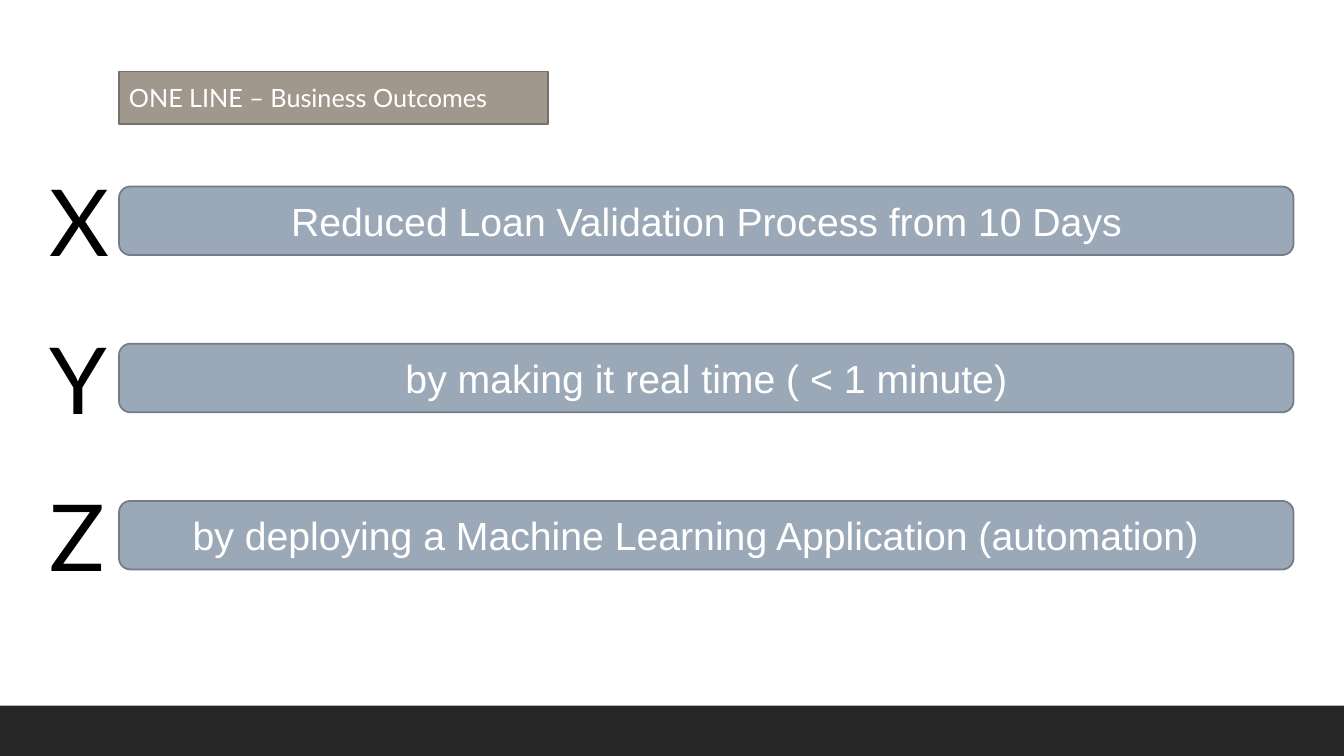
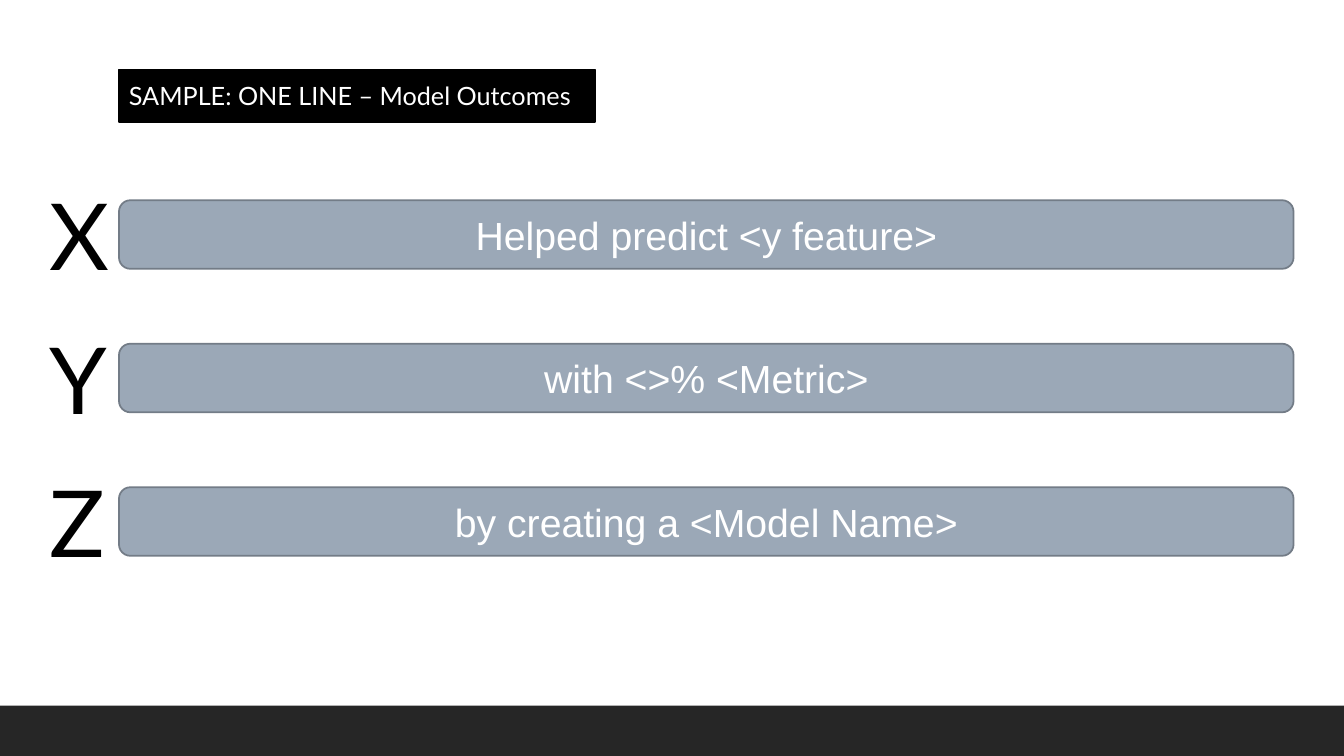
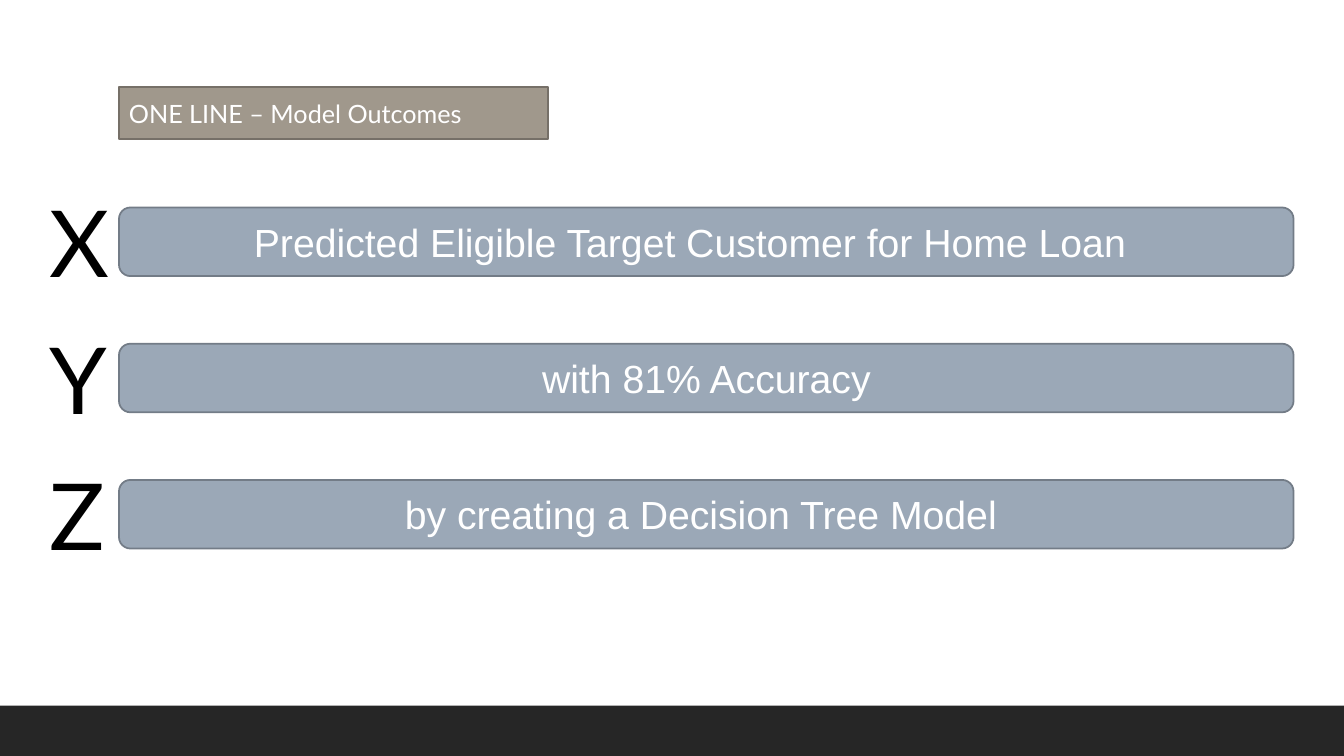
from dataclasses import dataclass

from pptx import Presentation
from pptx.dml.color import RGBColor
from pptx.enum.shapes import MSO_SHAPE
from pptx.enum.text import MSO_ANCHOR, MSO_AUTO_SIZE, PP_ALIGN
from pptx.shapes.autoshape import Shape
from pptx.slide import Slide
from pptx.util import Pt

RECTANGLE, ROUNDED = MSO_SHAPE.RECTANGLE, MSO_SHAPE.ROUNDED_RECTANGLE
LEFT, CENTER = PP_ALIGN.LEFT, PP_ALIGN.CENTER
TOP, MIDDLE = MSO_ANCHOR.TOP, MSO_ANCHOR.MIDDLE
FIT_SHAPE = MSO_AUTO_SIZE.SHAPE_TO_FIT_TEXT

# Shared style
WHITE, BLACK = "FFFFFF", "000000"
BAND_FILL = "262626"
TAUPE, TAUPE_LINE = "A0988C", "767068"
BAR_FILL, BAR_LINE = "9BA8B7", "737C87"
TITLE_FONT, BODY_FONT = "Lato", "Arial"
LINE_WIDTH = 1.25

# Shared layout, in points
SLIDE_WIDTH, SLIDE_HEIGHT, BAND_HEIGHT = 960, 540, 36
CONTENT_LEFT = 85
TITLE_HEIGHT = 37.5
BAR_WIDTH, BAR_HEIGHT, MIDDLE_BAR_TOP = 839, 49, 245.5
LETTER_LEFT, LETTER_WIDTH, LETTER_HEIGHT = 28, 49, 87
LETTER_RISE = 19.3
SIDE_INSET = 7.2


@dataclass(frozen=True)
class Statement:
    text: str
    right_gap: float = 0


@dataclass(frozen=True)
class OutcomeSlide:
    title: str
    title_top: float
    row_pitch: float
    statements: tuple[Statement, Statement, Statement]
    title_width: float = 306.7
    title_fill: str = TAUPE
    title_line: str = TAUPE_LINE


OUTCOME_SLIDES = (
    OutcomeSlide("ONE LINE – Business Outcomes", 51, 112.3, (
        Statement("Reduced Loan Validation Process from 10 Days"),
        Statement("by making it real time ( < 1 minute)"),
        Statement("by deploying a Machine Learning Application (automation)", 15.6),
    )),
    OutcomeSlide("SAMPLE: ONE LINE – Model Outcomes", 49.7, 102.5, (
        Statement("Helped predict <y feature>"),
        Statement("with <>% <Metric>"),
        Statement("by creating a <Model Name>"),
    ), title_width=340, title_fill=BLACK, title_line=BLACK),
    OutcomeSlide("ONE LINE – Model Outcomes", 62, 97.3, (
        Statement("Predicted Eligible Target Customer for Home Loan", 23.4),
        Statement("with 81% Accuracy"),
        Statement("by creating a Decision Tree Model", 7.8),
    )),
)


def color(hex_value: str) -> RGBColor:
    return RGBColor.from_string(hex_value)


def write_text(shape: Shape, text: str, *, size: float, font: str = TITLE_FONT,
               text_color: str = WHITE, align: PP_ALIGN = LEFT,
               anchor: MSO_ANCHOR = MIDDLE, wrap: bool = True,
               right_gap: float = 0) -> None:
    frame = shape.text_frame
    frame.word_wrap = wrap
    frame.vertical_anchor = anchor
    frame.margin_right = Pt(SIDE_INSET + right_gap)
    paragraph = frame.paragraphs[0]
    paragraph.alignment = align
    run = paragraph.add_run()
    run.text = text
    run.font.name = font
    run.font.size = Pt(size)
    run.font.color.rgb = color(text_color)


def add_box(slide: Slide, kind: MSO_SHAPE, left: float, top: float, width: float,
            height: float, fill: str, line: str | None = None) -> Shape:
    shape = slide.shapes.add_shape(kind, Pt(left), Pt(top), Pt(width), Pt(height))
    shape.shadow.inherit = False
    shape.fill.solid()
    shape.fill.fore_color.rgb = color(fill)
    if line is None:
        shape.line.fill.background()
    else:
        shape.line.color.rgb = color(line)
        shape.line.width = Pt(LINE_WIDTH)
    return shape


def add_row(slide: Slide, letter: str, statement: Statement, top: float) -> None:
    letter_box = slide.shapes.add_textbox(
        Pt(LETTER_LEFT), Pt(top - LETTER_RISE), Pt(LETTER_WIDTH), Pt(LETTER_HEIGHT))
    letter_box.text_frame.auto_size = FIT_SHAPE
    write_text(letter_box, letter, size=66, text_color=BLACK, anchor=TOP, wrap=False)
    bar = add_box(slide, ROUNDED, CONTENT_LEFT, top, BAR_WIDTH, BAR_HEIGHT,
                  BAR_FILL, BAR_LINE)
    write_text(bar, statement.text, size=28, font=BODY_FONT, align=CENTER,
               right_gap=statement.right_gap)


def add_outcome_slide(presentation: Presentation, content: OutcomeSlide) -> None:
    slide = presentation.slides.add_slide(presentation.slide_layouts[6])
    # Bottom band
    add_box(slide, RECTANGLE, 0, SLIDE_HEIGHT - BAND_HEIGHT, SLIDE_WIDTH,
            BAND_HEIGHT, BAND_FILL)
    # Lettered rows, spread evenly around the middle bar
    for index, (letter, statement) in enumerate(zip("XYZ", content.statements)):
        add_row(slide, letter, statement,
                MIDDLE_BAR_TOP + (index - 1) * content.row_pitch)
    # Title label
    title = add_box(slide, RECTANGLE, CONTENT_LEFT, content.title_top,
                    content.title_width, TITLE_HEIGHT,
                    content.title_fill, content.title_line)
    write_text(title, content.title, size=18)


def main() -> None:
    presentation = Presentation()
    presentation.slide_width = Pt(SLIDE_WIDTH)
    presentation.slide_height = Pt(SLIDE_HEIGHT)
    for content in OUTCOME_SLIDES:
        add_outcome_slide(presentation, content)
    presentation.save("out.pptx")


main()
